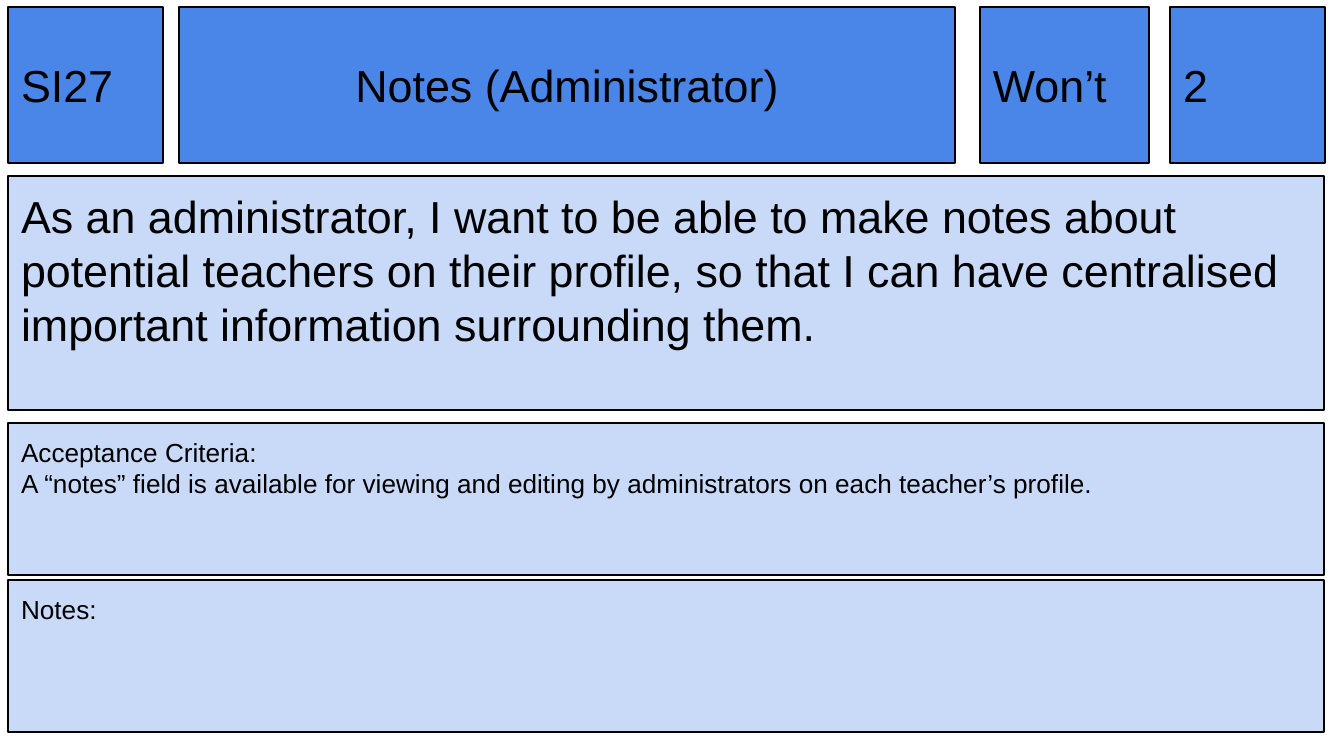
"""Build a user story card slide with a header row and three text panels."""
from dataclasses import dataclass

from pptx import Presentation
from pptx.dml.color import RGBColor
from pptx.enum.shapes import MSO_SHAPE
from pptx.enum.text import MSO_ANCHOR, MSO_AUTO_SIZE, PP_ALIGN
from pptx.util import Pt

RECT = MSO_SHAPE.RECTANGLE
TOP, MIDDLE = MSO_ANCHOR.TOP, MSO_ANCHOR.MIDDLE
LEFT, CENTER = PP_ALIGN.LEFT, PP_ALIGN.CENTER
NO_AUTOFIT = MSO_AUTO_SIZE.NONE
PX = 914400 / 134.4


@dataclass(frozen=True)
class Theme:
    header: RGBColor = RGBColor(0x4A, 0x86, 0xE8)
    panel: RGBColor = RGBColor(0xC9, 0xDA, 0xF8)
    ink: RGBColor = RGBColor(0, 0, 0)
    font: str = "Arial"
    large: int = 24
    small: int = 14
    outline: float = 0.75


THEME = Theme()


def px(n):
    return round(n * PX)


def write_box(sp, text, *, box, fill, size, anchor=TOP, align=LEFT):
    sp.left, sp.top, sp.width, sp.height = map(px, box)
    sp.fill.solid()
    sp.fill.fore_color.rgb = fill
    sp.line.color.rgb = THEME.ink
    sp.line.width = Pt(THEME.outline)
    tf = sp.text_frame
    tf.word_wrap = True
    tf.auto_size = NO_AUTOFIT
    tf.vertical_anchor = anchor
    tf.margin_left = tf.margin_right = tf.margin_top = tf.margin_bottom = px(13)
    tf.text = text
    for p in tf.paragraphs:
        p.alignment = align
        p.line_spacing = 1.0
        p.space_before = Pt(0)
        p.font.name = THEME.font
        p.font.size = Pt(size)
        p.font.color.rgb = THEME.ink


prs = Presentation()
prs.slide_width, prs.slide_height = px(1344), px(756)
s = prs.slides.add_slide(prs.slide_layouts[5])

header = dict(fill=THEME.header, size=THEME.large, anchor=MIDDLE)
write_box(s.shapes.title, "Notes (Administrator)",
          box=(179, 7, 776, 156), align=CENTER, **header)

for text, x, w in [("SI27", 8, 155), ("Won’t", 980, 169), ("2", 1170, 155)]:
    sp = s.shapes.add_shape(RECT, 0, 0, 0, 0)
    sp.shadow.inherit = False
    write_box(sp, text, box=(x, 7, w, 156), **header)

panels = [
    ("As an administrator, I want to be able to make notes about potential "
     "teachers on their profile, so that I can have centralised important "
     "information surrounding them.", 176, 234, THEME.large),
    ("Acceptance Criteria:\nA “notes” field is available for viewing and "
     "editing by administrators on each teacher’s profile.",
     423, 152, THEME.small),
    ("Notes:", 580, 152, THEME.small),
]
for text, y, h, size in panels:
    sp = s.shapes.add_shape(RECT, 0, 0, 0, 0)
    sp.shadow.inherit = False
    write_box(sp, text, box=(8, y, 1316, h), fill=THEME.panel, size=size)

prs.save("out.pptx")
